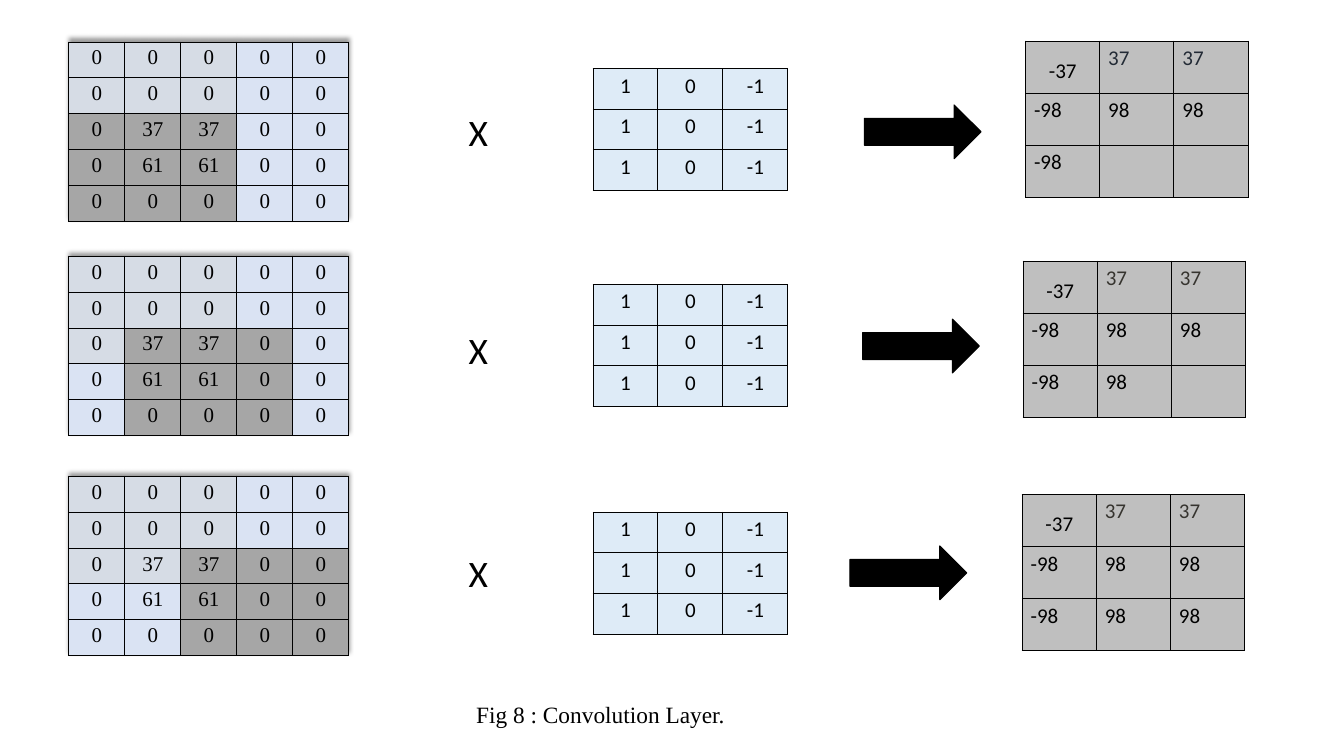
from lxml import etree
from pptx import Presentation
from pptx.dml.color import RGBColor as RGB
from pptx.enum.shapes import MSO_SHAPE as Shape
from pptx.enum.text import PP_ALIGN as Align, MSO_AUTO_SIZE as Fit
from pptx.oxml import parse_xml
from pptx.oxml.ns import nsdecls, qn
from pptx.util import Pt

BLACK = RGB(0, 0, 0)
WHITE = RGB(0xFF, 0xFF, 0xFF)
BLUE = RGB(0xDA, 0xE3, 0xF3)
MIST = RGB(0xD6, 0xDC, 0xE5)
DARK = RGB(0xA6, 0xA6, 0xA6)
PALE = RGB(0xDE, 0xEB, 0xF7)
GRAY = RGB(0xBF, 0xBF, 0xBF)
NAVY = RGB(0x22, 0x2A, 0x35)
BROWN = RGB(0x36, 0x34, 0x2F)
SANS, SERIF = "Calibri", "Times New Roman"

INPUT = [
    (0, 0, 0, 0, 0),
    (0, 0, 0, 0, 0),
    (0, 37, 37, 0, 0),
    (0, 61, 61, 0, 0),
    (0, 0, 0, 0, 0),
]
KERNEL = [(1, 0, -1)] * 3
RESULT = [(-37, 37, 37), (-98, 98, 98), (-98, 98, 98)]
CAPTION = "Fig 8 : Convolution Layer."

STEPS = [
    dict(input=36, sign=90, kernel=59, arrow=(740.9, 90),
         result=(879.1, 35.3), ink=NAVY),
    dict(input=219.6, sign=276.5, kernel=244.1, arrow=(739.4, 273.6),
         result=(877, 223.9), ink=BROWN),
    dict(input=408.2, sign=468, kernel=439.2, arrow=(728.6, 468),
         result=(876.2, 424.1), ink=BROWN),
]


def add_text(slide, text, box, size, font):
    """Add a one-line text box."""
    frame = slide.shapes.add_textbox(*map(Pt, box)).text_frame
    frame.word_wrap = True
    frame.auto_size = Fit.SHAPE_TO_FIT_TEXT
    line = frame.paragraphs[0]
    line.text = text
    line.font.size, line.font.name = Pt(size), font
    line.font.color.rgb = BLACK


def add_edges(cell):
    """Draw a thin black border around a cell."""
    props = cell._tc.get_or_add_tcPr()
    for spot, side in enumerate(("lnL", "lnR", "lnT", "lnB")):
        edge = parse_xml(
            f'<a:{side} {nsdecls("a")} w="12700"><a:solidFill>'
            f'<a:srgbClr val="{BLACK}"/></a:solidFill></a:{side}>')
        props.insert(spot, edge)


def add_grid(slide, rows, spot, wide, high, font, style):
    """Add a table whose style gives fill, ink and alignment per cell."""
    count = len(rows)
    size = wide * count, high * count
    grid = slide.shapes.add_table(count, count, *map(Pt, (*spot, *size))).table
    grid.first_row = grid.horz_banding = False
    for col in grid.columns:
        col.width = Pt(wide)
    for r, row in enumerate(rows):
        grid.rows[r].height = Pt(high)
        for c, value in enumerate(row):
            cell = grid.cell(r, c)
            fill, ink, align = style(r, c)
            cell.fill.solid()
            cell.fill.fore_color.rgb = fill
            add_edges(cell)
            line = cell.text_frame.paragraphs[0]
            line.text = str(value)
            line.alignment = align
            line.font.size, line.font.name = Pt(18), font
            line.font.color.rgb = ink
    return grid


def add_shadow(grid):
    """Cast a soft shadow above the table."""
    props = grid._tbl.tblPr
    effect = etree.Element(qn("a:effectLst"))
    cast = etree.SubElement(effect, qn("a:outerShdw"), blurRad="50800",
                            dist="38100", dir="16200000", rotWithShape="0")
    tint = etree.SubElement(cast, qn("a:prstClr"), val="black")
    etree.SubElement(tint, qn("a:alpha"), val="40000")
    props.insert(0, effect)


def add_arrow(slide, spot):
    """Add a black block arrow."""
    arrow = slide.shapes.add_shape(Shape.RIGHT_ARROW, *map(Pt, (*spot, 100, 46)))
    arrow.shadow.inherit = False
    arrow.fill.solid()
    arrow.fill.fore_color.rgb = arrow.line.color.rgb = BLACK
    arrow.line.width = Pt(1)


def add_step(slide, index, step):
    """Add one row: input, sign, kernel, arrow and result."""
    def scan(r, c):
        """Shade the window at this step."""
        if r >= 2 and index <= c < index + 3:
            return DARK, BLACK, Align.CENTER
        return (MIST if r < 3 and c < 3 else BLUE), BLACK, Align.CENTER

    def plain(r, c):
        """Style a kernel cell."""
        return PALE, BLACK, Align.CENTER

    def tally(r, c):
        """Style a result cell."""
        ink = step["ink"] if r == 0 and c else BLACK
        return GRAY, ink, Align.LEFT if r or c else Align.CENTER

    shown = [[value if r * 3 + c < 7 + index else ""
              for c, value in enumerate(row)] for r, row in enumerate(RESULT)]
    add_text(slide, "X", (394.6, step["sign"], 46.8, 46), 32, SANS)
    add_grid(slide, KERNEL, (508.3, step["kernel"]), 55.7, 34.8, SANS, plain)
    result = add_grid(slide, shown, step["result"], 63.6, 44.6, SANS, tally)
    result.cell(0, 0).text_frame.paragraphs[0].line_spacing = 1.5
    add_arrow(slide, step["arrow"])
    add_shadow(add_grid(slide, INPUT, (59, step["input"]), 48, 30.8, SERIF, scan))


def main():
    """Build the convolution slide."""
    deck = Presentation()
    deck.slide_width, deck.slide_height = Pt(1152), Pt(648)
    slide = deck.slides.add_slide(deck.slide_layouts[6])
    slide.background.fill.solid()
    slide.background.fill.fore_color.rgb = WHITE
    for index, step in enumerate(STEPS):
        add_step(slide, index, step)
    add_text(slide, CAPTION, (401, 597, 423.4, 31.7), 20, SERIF)
    deck.save("out.pptx")


if __name__ == "__main__":
    main()
